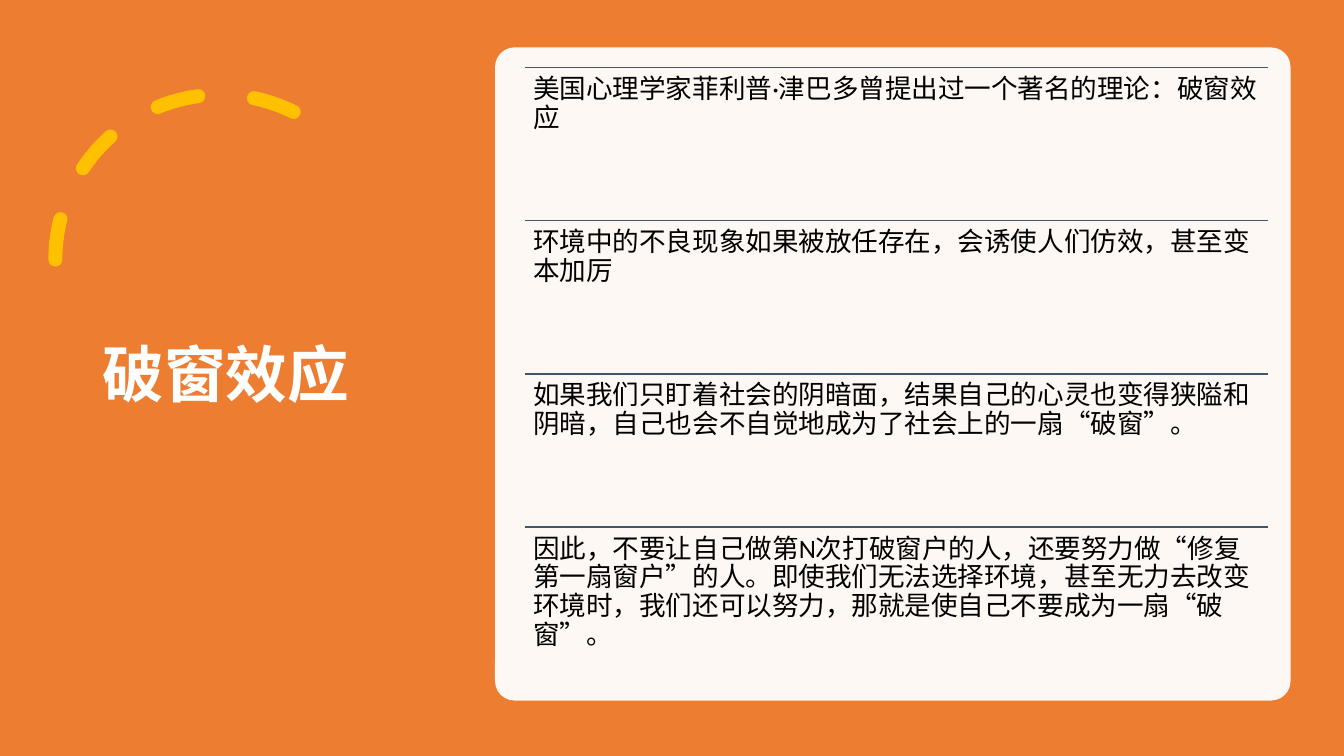
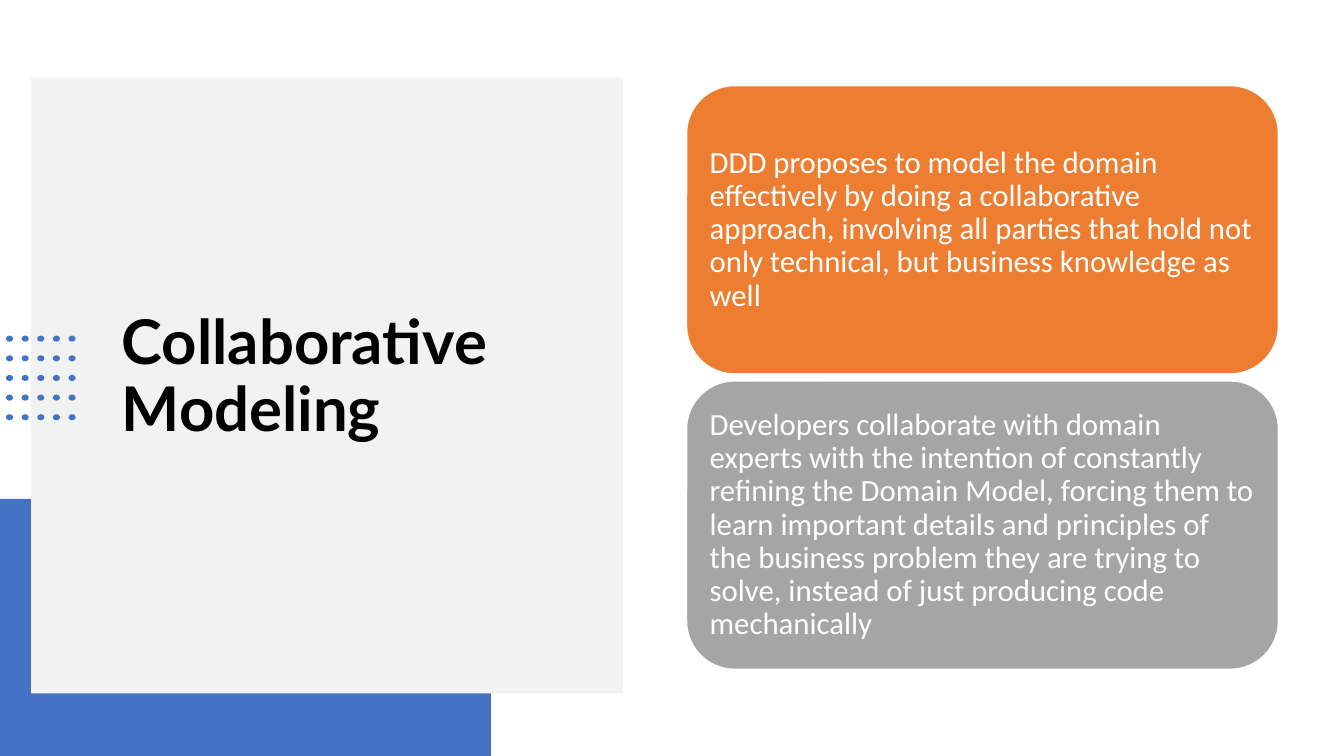
from pptx import Presentation
from pptx.dml.color import RGBColor
from pptx.enum.dml import MSO_LINE
from pptx.enum.shapes import MSO_CONNECTOR, MSO_SHAPE
from pptx.enum.text import MSO_ANCHOR, PP_ALIGN
from pptx.oxml.ns import qn
from pptx.util import Inches, Pt
from lxml import etree

# Content
EFFECT_TITLE = "破窗效应"
EFFECT_POINTS = [
    "美国心理学家菲利普·津巴多曾提出过一个著名的理论：破窗效应",
    "环境中的不良现象如果被放任存在，会诱使人们仿效，甚至变本加厉",
    "如果我们只盯着社会的阴暗面，结果自己的心灵也变得狭隘和阴暗，自己也会不自觉地成为了社会上的一扇“破窗”。",
    "因此，不要让自己做第N次打破窗户的人，还要努力做“修复第一扇窗户”的人。"
    "即使我们无法选择环境，甚至无力去改变环境时，我们还可以努力，那就是使自己不要成为一扇“破窗”。",
]
MODEL_TITLE = "Collaborative Modeling"
MODEL_CARDS = [
    ("orange", "DDD proposes to model the domain effectively by doing a collaborative "
               "approach, involving all parties that hold not only technical, but "
               "business knowledge as well"),
    ("gray", "Developers collaborate with domain experts with the intention of constantly "
             "refining the Domain Model, forcing them to learn important details and "
             "principles of the business problem they are trying to solve, instead of "
             "just producing code mechanically"),
]

# Shared style
COLORS = {
    "orange": "ED7D31", "gray": "A5A5A5", "blue": "4472C4", "pale": "F2F2F2",
    "gold": "FFC000", "slate": "44546A", "white": "FFFFFF", "black": "000000",
}
TITLE = {"name": "Lato", "size": Pt(44), "bold": True}
POINT = {"name": "Calibri", "size": Pt(19)}
CARD = {"name": "Calibri", "size": Pt(22)}
SLIDE_W, SLIDE_H = 13.33, 7.5


def rgb(color):
    return RGBColor.from_string(COLORS[color])


def add_block(s, kind, box, fill=None, line=None, width=1):
    sp = s.shapes.add_shape(kind, *map(Inches, box))
    sp.shadow.inherit = False
    if fill:
        sp.fill.solid()
        sp.fill.fore_color.rgb = rgb(fill)
    else:
        sp.fill.background()
    if line:
        sp.line.color.rgb = rgb(line)
        sp.line.width = Pt(width)
    else:
        sp.line.fill.background()
    return sp


def write(sp, text, font, color, anchor, margins):
    tf = sp.text_frame
    tf.word_wrap = True
    tf.vertical_anchor = anchor
    sides = ("left", "top", "right", "bottom")
    for side, margin in zip(sides, margins):
        setattr(tf, f"margin_{side}", Inches(margin))
    p = tf.paragraphs[0]
    p.alignment = PP_ALIGN.LEFT
    p.line_spacing = 0.9
    r = p.add_run()
    r.text = text
    for name, value in font.items():
        setattr(r.font, name, value)
    r.font.color.rgb = rgb(color)


def add_text(s, box, *style):
    write(s.shapes.add_textbox(*map(Inches, box)), *style)


def add_title(s, box, text, color):
    add_text(s, box, text, TITLE, color, MSO_ANCHOR.MIDDLE, (0.1, 0.05, 0.1, 0.05))


def add_rule(s, left, top, width):
    rule = s.shapes.add_connector(
        MSO_CONNECTOR.STRAIGHT, *map(Inches, (left, top, left + width, top)))
    rule.line.color.rgb = rgb("slate")
    rule.line.width = Pt(1)
    etree.SubElement(rule._element.spPr, qn("a:effectLst"))


def build_effect(s):
    add_block(s, MSO_SHAPE.RECTANGLE, (0, 0, SLIDE_W, SLIDE_H), "orange")

    # Dashed arc, mirrored, with round dash ends
    arc = add_block(s, MSO_SHAPE.ARC, (0.55, 0.94, 3.27, 3.27), line="gold", width=10)
    arc.adjustments[0], arc.adjustments[1] = 146.13, 0
    arc.line.dash_style = MSO_LINE.DASH
    arc._element.spPr.find(qn("a:ln")).set("cap", "rnd")
    arc._element.spPr.find(qn("a:xfrm")).set("flipH", "1")

    add_title(s, (0.92, 0.7, 3.23, 6.09), EFFECT_TITLE, "white")

    # Slightly transparent panel
    panel = add_block(s, MSO_SHAPE.ROUNDED_RECTANGLE, (4.91, 0.47, 7.89, 6.48), "white")
    panel.adjustments[0] = 0.03
    color = panel._element.spPr.find(qn("a:solidFill"))[0]
    etree.SubElement(color, qn("a:alpha")).set("val", "95000")

    # Points, each under a rule
    left, top, width, height = 5.21, 0.67, 7.37, 1.52
    for i, text in enumerate(EFFECT_POINTS):
        y = top + i * height
        add_rule(s, left, y, width)
        add_text(s, (left, y, width, height), text, POINT, "black",
                 MSO_ANCHOR.TOP, [0.08] * 4)


def build_model(s):
    add_block(s, MSO_SHAPE.RECTANGLE, (0, 4.95, 4.87, 2.55), "blue")
    add_block(s, MSO_SHAPE.RECTANGLE, (0.31, 0.77, 5.87, 6.11), "pale")
    add_title(s, (1.11, 1.47, 4.59, 4.56), MODEL_TITLE, "black")

    # Dot grid
    for col in range(5):
        for row in range(5):
            x, y = 0.06 + col * 0.62 / 4, 3.33 + row * 0.78 / 4
            add_block(s, MSO_SHAPE.OVAL, (x, y, 0.07, 0.06), "blue")

    # Cards
    height, gap = 2.86, 0.07
    for i, (fill, text) in enumerate(MODEL_CARDS):
        box = (6.81, 0.85 + i * (height + gap), 5.87, height)
        card = add_block(s, MSO_SHAPE.ROUNDED_RECTANGLE, box, fill, "white")
        write(card, text, CARD, "white", MSO_ANCHOR.MIDDLE, [0.09] * 4)


def main():
    prs = Presentation()
    prs.slide_width, prs.slide_height = Inches(SLIDE_W), Inches(SLIDE_H)
    for build in (build_effect, build_model):
        build(prs.slides.add_slide(prs.slide_layouts[6]))
    prs.save("out.pptx")


if __name__ == "__main__":
    main()
